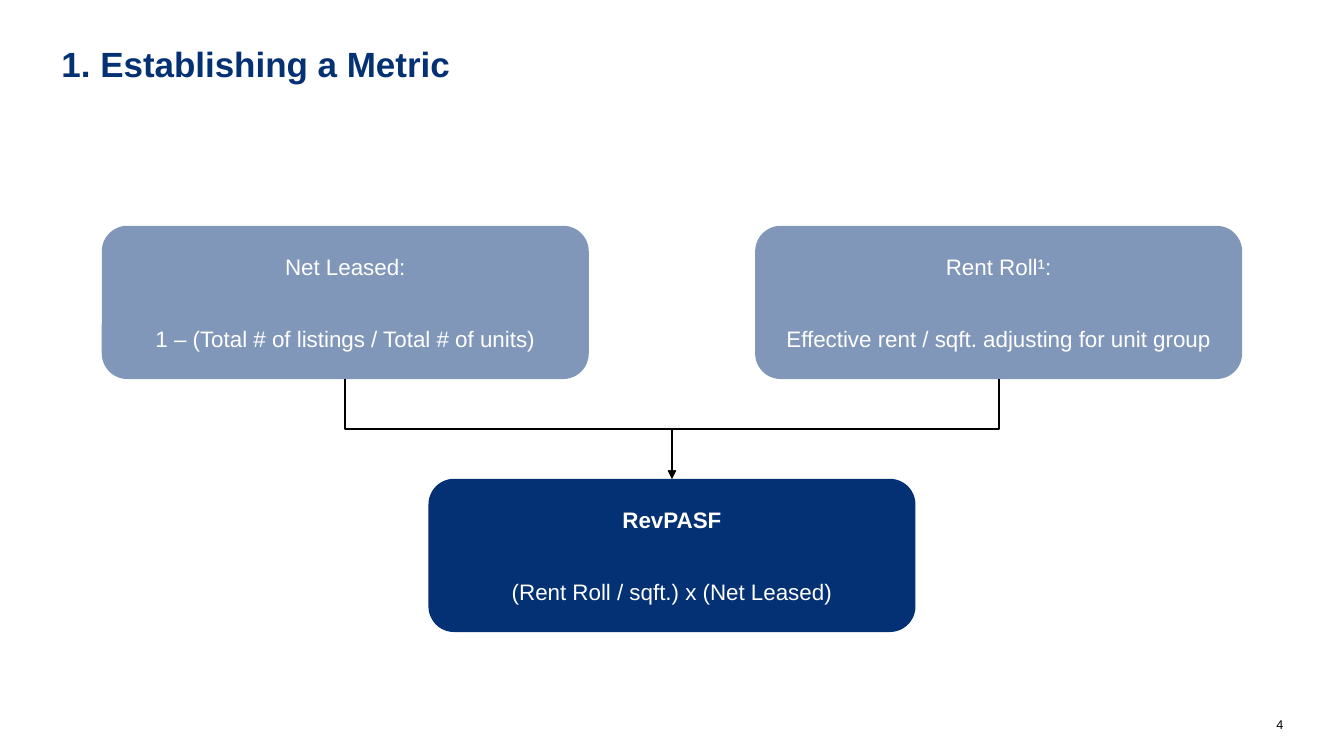
from dataclasses import dataclass

from lxml import etree
from pptx import Presentation
from pptx.dml.color import RGBColor
from pptx.enum.shapes import MSO_CONNECTOR, MSO_SHAPE
from pptx.enum.text import MSO_ANCHOR, PP_ALIGN
from pptx.oxml.ns import qn
from pptx.util import Pt

ELBOW = MSO_CONNECTOR.ELBOW
ROUNDED = MSO_SHAPE.ROUNDED_RECTANGLE
TOP, MIDDLE, BOTTOM = MSO_ANCHOR.TOP, MSO_ANCHOR.MIDDLE, MSO_ANCHOR.BOTTOM
LEFT, CENTER, RIGHT = PP_ALIGN.LEFT, PP_ALIGN.CENTER, PP_ALIGN.RIGHT
TOP_SIDE, BOTTOM_SIDE = 0, 2

EMU_PER_PX = 9144  # 100 px to the inch
BOX_W, BOX_H = 483, 152
INPUT_TOP, RESULT_TOP = 224, 475
NET_LEFT, RENT_LEFT = 101, 749


@dataclass(frozen=True)
class Theme:
    navy: RGBColor = RGBColor(0x04, 0x30, 0x74)
    white: RGBColor = RGBColor(0xFF, 0xFF, 0xFF)
    black: RGBColor = RGBColor(0x00, 0x00, 0x00)
    font: str = "Arial"
    title_size: int = 25
    box_size: int = 16
    number_size: int = 9
    formula_gap: int = 32
    line_width: float = 1.5


THEME = Theme()


def px(n):
    return n * EMU_PER_PX


def add_run(p, text, size, color, bold=False):
    r = p.add_run()
    r.text = text
    r.font.name = THEME.font
    r.font.size = Pt(size)
    r.font.bold = bold
    r.font.color.rgb = color


def add_label(s, box, text, size, color, bold=False, align=LEFT, anchor=TOP):
    """Add a one-line text box without margins."""
    tf = s.shapes.add_textbox(*map(px, box)).text_frame
    tf.word_wrap = True
    tf.vertical_anchor = anchor
    tf.margin_left = tf.margin_right = tf.margin_top = tf.margin_bottom = 0
    p = tf.paragraphs[0]
    p.alignment = align
    add_run(p, text, size, color, bold)


def add_metric_box(s, left, top, name, formula, bold=False, opacity=100):
    """Add a rounded box with a metric's name above its formula."""
    sp = s.shapes.add_shape(ROUNDED, *map(px, (left, top, BOX_W, BOX_H)))
    sp.shadow.inherit = False
    sp.line.fill.background()
    sp.fill.solid()
    sp.fill.fore_color.rgb = THEME.navy
    if opacity < 100:
        color = sp._element.spPr.find(qn("a:solidFill"))[0]
        etree.SubElement(color, qn("a:alpha"), val=str(opacity * 1000))
    tf = sp.text_frame
    tf.word_wrap = True
    tf.vertical_anchor = MIDDLE
    p = tf.paragraphs[0]
    p.alignment = CENTER
    add_run(p, name, THEME.box_size, THEME.white, bold)
    p = tf.add_paragraph()
    p.alignment = CENTER
    p.space_before = Pt(THEME.formula_gap)
    add_run(p, formula, THEME.box_size, THEME.white)
    return sp


def add_elbow_arrow(s, source, target):
    """Lead down from source, across, and down into the top of target."""
    x1, y1 = source.left + source.width // 2, source.top + source.height
    x2, y2 = target.left + target.width // 2, target.top
    c = s.shapes.add_connector(ELBOW, x1, y1, x2, y2)
    c.begin_connect(source, BOTTOM_SIDE)
    c.end_connect(target, TOP_SIDE)

    # The frame is stored before its quarter turn, so its sides are swapped.
    width, height = y2 - y1, abs(x2 - x1)
    c.left, c.top = (x1 + x2 - width) // 2, (y1 + y2 - height) // 2
    c.width, c.height = width, height
    rightward = x2 > x1
    spPr = c._element.spPr
    xfrm = spPr.find(qn("a:xfrm"))
    xfrm.set("rot", str((270 if rightward else 90) * 60000))
    xfrm.set("flipH", "1" if rightward else "0")
    xfrm.set("flipV", "0")

    c.line.color.rgb = THEME.black
    c.line.width = Pt(THEME.line_width)
    etree.SubElement(c.line._get_or_add_ln(), qn("a:tailEnd"), type="triangle")
    etree.SubElement(spPr, qn("a:effectLst"))


def main():
    prs = Presentation()
    prs.slide_width, prs.slide_height = px(1333), px(750)
    s = prs.slides.add_slide(prs.slide_layouts[6])

    add_label(s, (1237, 711, 36, 15), "4", THEME.number_size, THEME.black,
              align=RIGHT, anchor=BOTTOM)
    add_label(s, (61, 42, 1212, 42), "1. Establishing a Metric",
              THEME.title_size, THEME.navy, bold=True)

    net = add_metric_box(s, NET_LEFT, INPUT_TOP, "Net Leased:",
                         "1 – (Total # of listings / Total # of units)", opacity=50)
    rent = add_metric_box(s, RENT_LEFT, INPUT_TOP, "Rent Roll¹:",
                          "Effective rent / sqft. adjusting for unit group", opacity=50)
    result = add_metric_box(s, (NET_LEFT + RENT_LEFT) // 2, RESULT_TOP, "RevPASF",
                            "(Rent Roll / sqft.) x (Net Leased)", bold=True)
    for source in (net, rent):
        add_elbow_arrow(s, source, result)

    prs.save("out.pptx")


if __name__ == "__main__":
    main()
